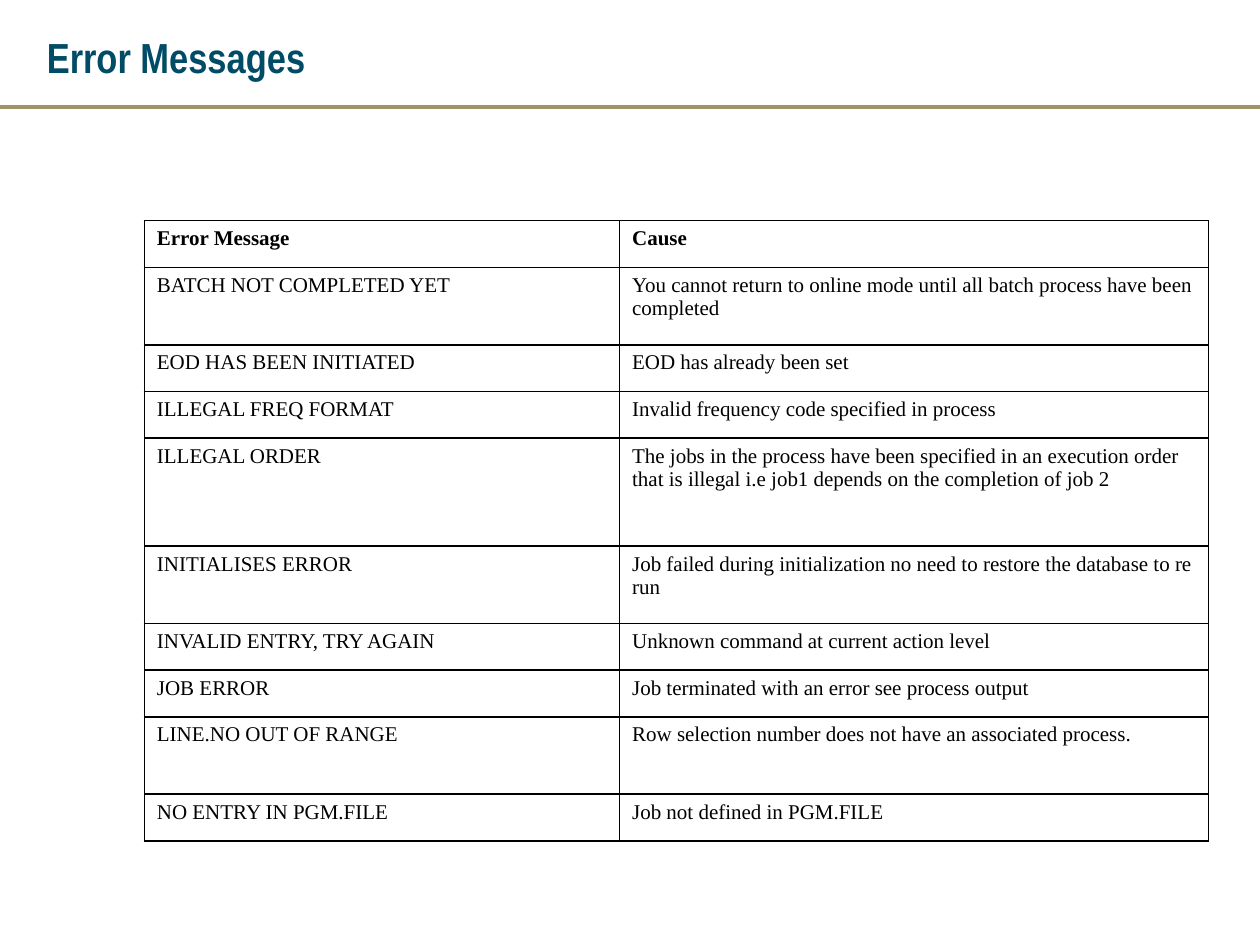
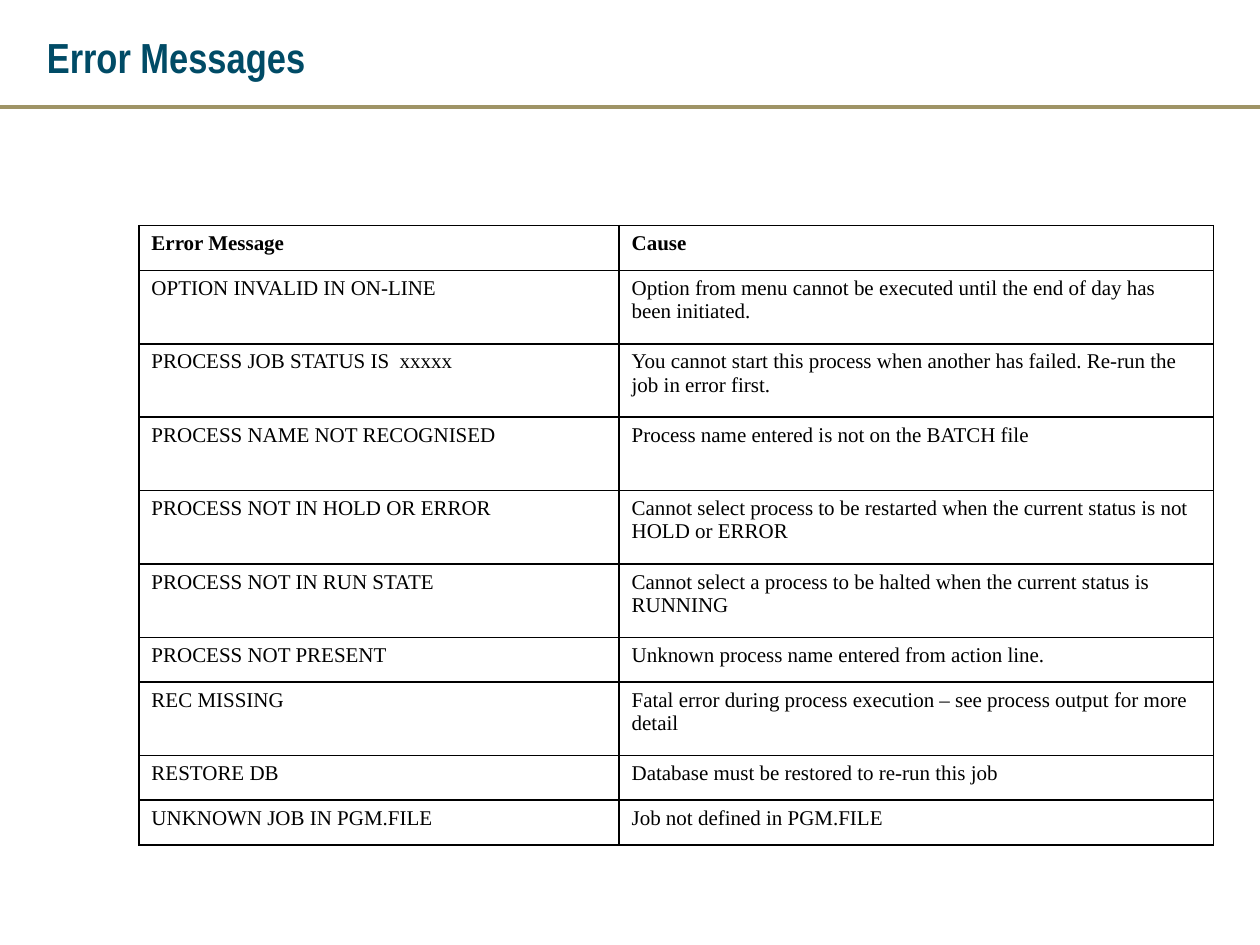
"""Build two slides that list batch error messages and their causes."""
from dataclasses import dataclass

import lxml.etree
import pptx
import pptx.dml.color
import pptx.enum.shapes
import pptx.enum.text
import pptx.oxml.ns
import pptx.presentation
import pptx.slide
import pptx.table
import pptx.text.text
import pptx.util
from pptx.util import Cm

TITLE_COLOUR = "004B66"
RULE_COLOUR = "9F9466"
INK = "000000"
PAPER = "FFFFFF"
TITLE_FONT = "Arial Narrow"
TABLE_FONT = "Times New Roman"
TITLE = "Error Messages"
HEADINGS = ("Error Message", "Cause")
RULE_TOP = Cm(2.16)


@dataclass(frozen=True)
class ErrorEntry:
    message: str
    cause: str
    size: str = "short"


@dataclass(frozen=True)
class ErrorPage:
    left: float
    top: float
    column_widths: tuple[float, float]
    row_heights: dict[str, float]
    entries: list[ErrorEntry]


PAGES = [
    ErrorPage(2.91, 4.45, (9.58, 11.87), {"short": 0.94, "medium": 1.56, "tall": 2.18}, [
        ErrorEntry("BATCH NOT COMPLETED YET",
                   "You cannot return to online mode until all batch process have been completed",
                   "medium"),
        ErrorEntry("EOD HAS BEEN INITIATED", "EOD has already been set"),
        ErrorEntry("ILLEGAL FREQ FORMAT", "Invalid frequency code specified in process"),
        ErrorEntry("ILLEGAL ORDER",
                   "The jobs in the process have been specified in an execution order "
                   "that is illegal i.e job1 depends on the completion of job 2", "tall"),
        ErrorEntry("INITIALISES ERROR",
                   "Job failed during initialization no need to restore the database to re run",
                   "medium"),
        ErrorEntry("INVALID ENTRY, TRY AGAIN", "Unknown command at current action level"),
        ErrorEntry("JOB ERROR", "Job terminated with an error see process output"),
        ErrorEntry("LINE.NO OUT OF RANGE",
                   "Row selection number does not have an associated process.", "medium"),
        ErrorEntry("NO ENTRY IN PGM.FILE", "Job not defined in PGM.FILE"),
    ]),
    ErrorPage(2.8, 4.55, (9.68, 11.98), {"short": 0.9, "medium": 1.48}, [
        ErrorEntry("OPTION INVALID IN ON-LINE",
                   "Option from menu cannot be executed until the end of day has been initiated.",
                   "medium"),
        ErrorEntry("PROCESS JOB STATUS IS  xxxxx",
                   "You cannot start this process when another has failed. "
                   "Re-run the job in error first.", "medium"),
        ErrorEntry("PROCESS NAME NOT RECOGNISED",
                   "Process name entered is not on the BATCH file", "medium"),
        ErrorEntry("PROCESS NOT IN HOLD OR ERROR",
                   "Cannot select process to be restarted when the current status is not "
                   "HOLD or ERROR", "medium"),
        ErrorEntry("PROCESS NOT IN RUN STATE",
                   "Cannot select a process to be halted when the current status is RUNNING",
                   "medium"),
        ErrorEntry("PROCESS NOT PRESENT", "Unknown process name entered from action line."),
        ErrorEntry("REC MISSING",
                   "Fatal error during process execution – see process output for more detail",
                   "medium"),
        ErrorEntry("RESTORE DB", "Database must be restored to re-run this job"),
        ErrorEntry("UNKNOWN JOB IN PGM.FILE", "Job not defined in PGM.FILE"),
    ]),
]


def colour(value: str) -> pptx.dml.color.RGBColor:
    return pptx.dml.color.RGBColor.from_string(value)


def format_text(frame: pptx.text.text.TextFrame, font: str, size: int,
                ink: str, bold: bool) -> None:
    for para in frame.paragraphs:
        para.alignment = pptx.enum.text.PP_ALIGN.LEFT
        for span in para.runs:
            span.font.name = font
            span.font.size = pptx.util.Pt(size)
            span.font.bold = bold
            span.font.color.rgb = colour(ink)


def add_heading(page: pptx.slide.Slide, page_width: int) -> None:
    rule = page.shapes.add_connector(
        pptx.enum.shapes.MSO_CONNECTOR.STRAIGHT, 0, RULE_TOP, page_width, RULE_TOP)
    rule.line.color.rgb = colour(RULE_COLOUR)
    rule.line.width = pptx.util.Pt(2)
    lxml.etree.SubElement(rule.element.spPr, pptx.oxml.ns.qn("a:effectLst"))

    title = page.shapes.title
    title.left, title.top = Cm(0.69), Cm(0.38)
    title.width, title.height = Cm(24.2), Cm(1.52)
    title.text_frame.text = TITLE
    title.text_frame.vertical_anchor = pptx.enum.text.MSO_ANCHOR.MIDDLE
    format_text(title.text_frame, TITLE_FONT, 24, TITLE_COLOUR, True)


def add_borders(cell: pptx.table._Cell) -> None:
    properties = cell._tc.get_or_add_tcPr()
    for position, side in enumerate(("lnL", "lnR", "lnT", "lnB")):
        border = lxml.etree.Element(pptx.oxml.ns.qn(f"a:{side}"), w=str(pptx.util.Pt(1)))
        fill = lxml.etree.SubElement(border, pptx.oxml.ns.qn("a:solidFill"))
        lxml.etree.SubElement(fill, pptx.oxml.ns.qn("a:srgbClr"), val=INK)
        properties.insert(position, border)


def fill_cell(cell: pptx.table._Cell, text: str, bold: bool) -> None:
    cell.text_frame.text = text
    format_text(cell.text_frame, TABLE_FONT, 12, INK, bold)
    cell.fill.solid()
    cell.fill.fore_color.rgb = colour(PAPER)
    add_borders(cell)


def add_error_table(page: pptx.slide.Slide, content: ErrorPage) -> None:
    rows = [ErrorEntry(*HEADINGS), *content.entries]
    heights = [content.row_heights[entry.size] for entry in rows]
    table = page.shapes.add_table(
        len(rows), len(HEADINGS), Cm(content.left), Cm(content.top),
        Cm(sum(content.column_widths)), Cm(sum(heights))).table
    for column, width in zip(table.columns, content.column_widths):
        column.width = Cm(width)
    for index, (entry, height) in enumerate(zip(rows, heights)):
        table.rows[index].height = Cm(height)
        for column_index, text in enumerate((entry.message, entry.cause)):
            fill_cell(table.cell(index, column_index), text, bold=index == 0)


def add_page(deck: pptx.presentation.Presentation, content: ErrorPage) -> None:
    page = deck.slides.add_slide(deck.slide_layouts.get_by_name("Title Only"))
    add_heading(page, deck.slide_width)
    add_error_table(page, content)


def main() -> None:
    deck = pptx.Presentation()
    deck.slide_width, deck.slide_height = Cm(25.4), Cm(19.05)
    for content in PAGES:
        add_page(deck, content)
    deck.save("out.pptx")


if __name__ == "__main__":
    main()
